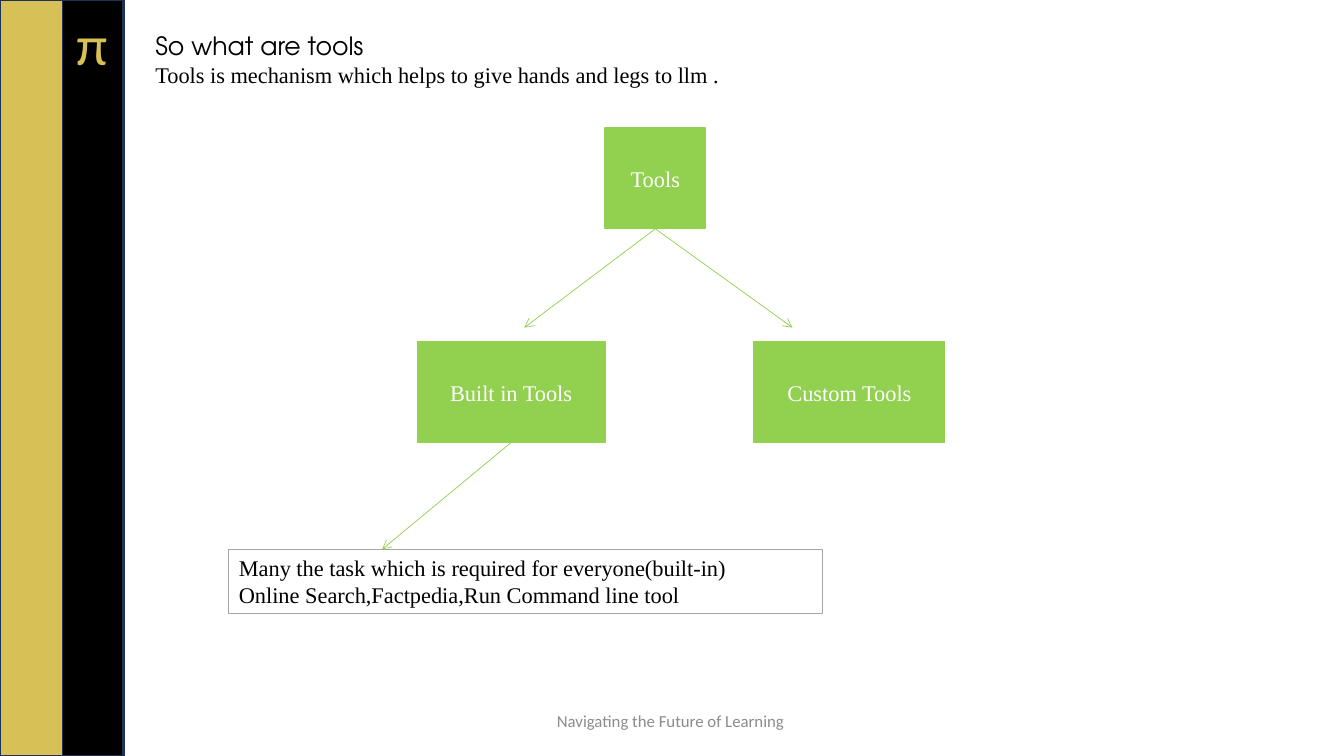
from lxml import etree
from pptx import Presentation
from pptx.dml.color import RGBColor
from pptx.enum.shapes import MSO_CONNECTOR, MSO_SHAPE
from pptx.enum.text import MSO_ANCHOR, MSO_AUTO_SIZE, PP_ALIGN
from pptx.oxml.ns import qn
from pptx.util import Inches, Pt

RECT, STRAIGHT = MSO_SHAPE.RECTANGLE, MSO_CONNECTOR.STRAIGHT
LEFT, CENTER = PP_ALIGN.LEFT, PP_ALIGN.CENTER
TOP, MIDDLE = MSO_ANCHOR.TOP, MSO_ANCHOR.MIDDLE
NO_FIT = MSO_AUTO_SIZE.NONE
TITLE_ONLY = 5
BOTTOM_SITE = 2

GOLD, BLACK, WHITE = "D7C055", "000000", "FFFFFF"
NAVY, GREEN, GRAY, BORDER = "1E3256", "92D050", "8C8C8C", "A6A6A6"
SERIF, SANS, HEADING = "Times New Roman", "Calibri", "TeX Gyre Adventor"


def rgb(color):
    """Turn a hex string into a colour."""
    return RGBColor.from_string(color)


def write(s, *lines, size=16, font=SERIF, color=BLACK, align=LEFT, anchor=TOP):
    """Put lines of text, one paragraph each, into a shape."""
    tf = s.text_frame
    tf.word_wrap = True
    tf.auto_size = NO_FIT
    tf.vertical_anchor = anchor
    tf.text = "\n".join(lines)
    for p in tf.paragraphs:
        p.alignment = align
        p.line_spacing = 1.0
        p.space_before = Pt(0)
        p.font.size = Pt(size)
        p.font.name = font
        p.font.color.rgb = rgb(color)


def add_rect(sp, x, y, w, h, fill=None, line=GREEN, width=1):
    """Add a rectangle, unfilled when no fill is given."""
    s = sp.add_shape(RECT, Inches(x), Inches(y), Inches(w), Inches(h))
    s.shadow.inherit = False
    if fill:
        s.fill.solid()
        s.fill.fore_color.rgb = rgb(fill)
    else:
        s.fill.background()
    s.line.color.rgb = rgb(line)
    s.line.width = Pt(width)
    return s


def add_node(sp, text, x, y, w):
    """Add a green box of the tool tree."""
    s = add_rect(sp, x, y, w, 1, GREEN)
    write(s, text, color=WHITE, align=CENTER, anchor=MIDDLE)
    return s


def add_text(sp, text, x, y, w, h, **fmt):
    """Add a text box."""
    write(sp.add_textbox(Inches(x), Inches(y), Inches(w), Inches(h)), text, **fmt)


def add_arrow(sp, parent, x, y):
    """Add an arrow from the bottom of a box to a point."""
    s = sp.add_connector(STRAIGHT, 0, 0, Inches(x), Inches(y))
    s.begin_connect(parent, BOTTOM_SITE)
    s.line.color.rgb = rgb(GREEN)
    s.line.width = Pt(0.5)
    etree.SubElement(s.line._get_or_add_ln(), qn("a:tailEnd"), type="arrow")
    etree.SubElement(s._element.spPr, qn("a:effectLst"))


def set_title(s, title, subtitle):
    """Place the title and give its two lines their formats."""
    s.left, s.top, s.width, s.height = map(Inches, (1.44, 0.25, 11.6, 0.67))
    write(s, title, subtitle, anchor=MIDDLE)
    font = s.text_frame.paragraphs[0].font
    font.size, font.name = Pt(18), HEADING


def main():
    """Build the slide."""
    prs = Presentation()
    prs.slide_width, prs.slide_height = Inches(13.33), Inches(7.5)
    slide = prs.slides.add_slide(prs.slide_layouts[TITLE_ONLY])
    sp = slide.shapes

    add_rect(sp, 0, 0, 1.23, 7.5, GOLD, NAVY)
    add_rect(sp, 0.62, 0, 0.6, 7.5, BLACK, NAVY)
    add_text(sp, "π", 0.66, 0.05, 0.48, 0.77, size=40, font=SANS, color=GOLD)
    add_text(sp, "Navigating the Future of Learning\u00a0", 4.42, 6.95, 4.5, 0.4,
             size=12, font=SANS, color=GRAY, align=CENTER, anchor=MIDDLE)
    set_title(sp.title, "So what are tools",
              "Tools is mechanism which helps to give hands and legs to llm .")

    tools = add_node(sp, "Tools", 6, 1.27, 1)
    add_node(sp, "Custom Tools", 7.48, 3.39, 1.89)
    built_in = add_node(sp, "Built in Tools", 4.14, 3.39, 1.86)
    examples = add_rect(sp, 2.27, 5.45, 5.89, 0.64, line=BORDER, width=0.75)
    write(examples, "Many the task which is required for everyone(built-in)",
          "Online Search,Factpedia,Run Command line tool")

    for parent, x, y in ((tools, 5.2, 3.25), (tools, 7.86, 3.25), (built_in, 3.79, 5.45)):
        add_arrow(sp, parent, x, y)

    prs.save("out.pptx")


if __name__ == "__main__":
    main()
